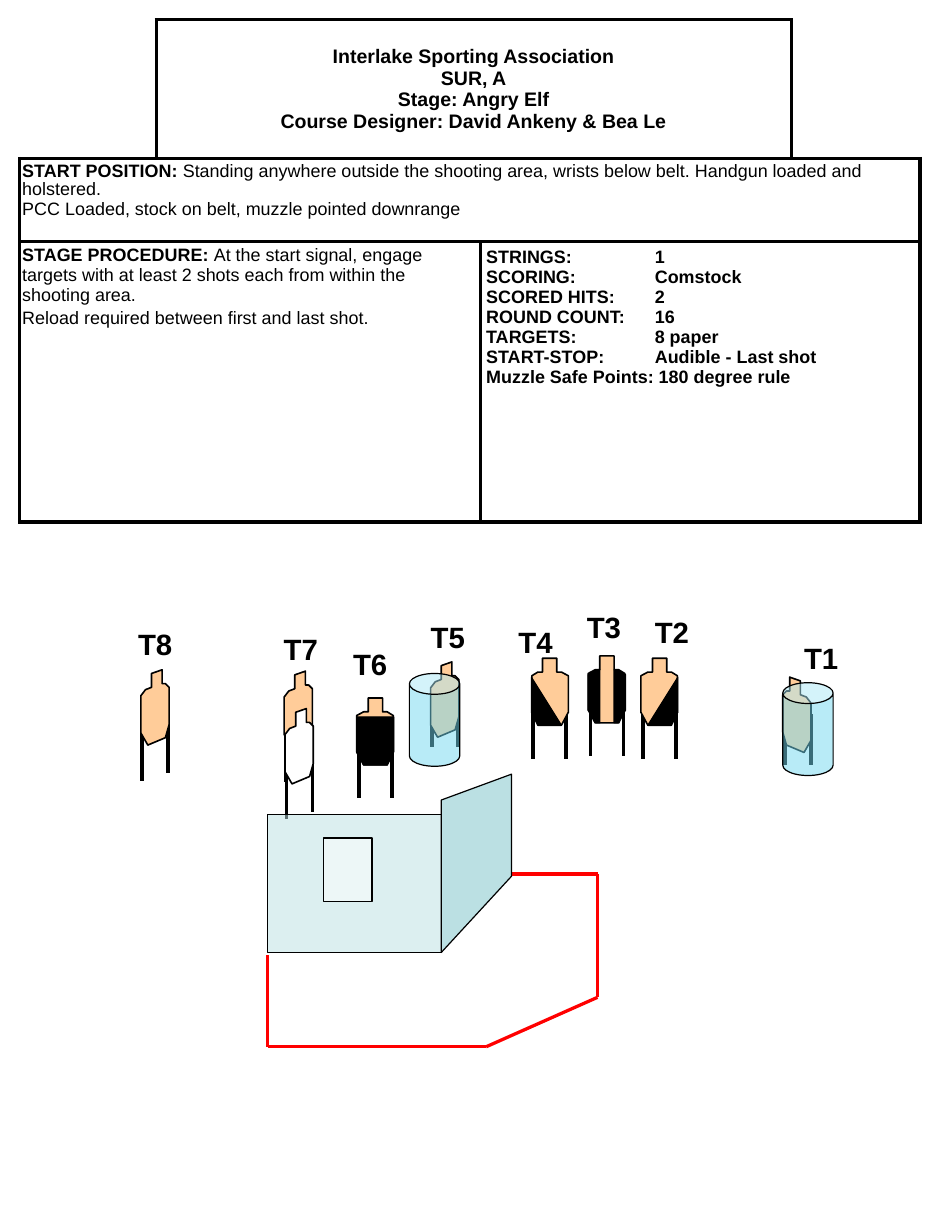
from itertools import pairwise

from lxml import etree
from pptx import Presentation
from pptx.dml.color import RGBColor
from pptx.enum.shapes import MSO_CONNECTOR, MSO_SHAPE
from pptx.enum.text import MSO_ANCHOR, PP_ALIGN
from pptx.oxml import parse_xml
from pptx.oxml.ns import nsdecls, qn
from pptx.util import Cm, Pt

BLACK = RGBColor(0x00, 0x00, 0x00)
WHITE = RGBColor(0xFF, 0xFF, 0xFF)
RED = RGBColor(0xFF, 0x00, 0x00)
CARDBOARD = RGBColor(0xFF, 0xCC, 0x99)
BARREL = RGBColor(0x73, 0xD9, 0xF1)
WALL = RGBColor(0xBB, 0xE0, 0xE3)
FONT = "Arial"

# Outlines in cm from the top left corner of a target
ANGLED = [(0.23, 0.08), (0.46, 0), (0.46, 0.3), (0.53, 0.3), (0.61, 0.38), (0.61, 1.19),
          (0.53, 1.47), (0.15, 1.63), (0, 1.37), (0, 0.56), (0.1, 0.43), (0.23, 0.38)]
UPRIGHT = [(0.25, 0), (0.56, 0), (0.56, 0.3), (0.66, 0.3), (0.79, 0.38), (0.79, 1.17),
           (0.66, 1.45), (0.15, 1.45), (0, 1.17), (0, 0.38), (0.15, 0.3), (0.25, 0.3)]
RIGHT_STRIP = [(0.56, 0.3), (0.56, 1.45), (0.64, 1.45), (0.81, 1.17), (0.81, 0.41), (0.64, 0.3)]
DIAGONAL = [(0.8, 0.41), (0.8, 1.17), (0.64, 1.45), (0.15, 1.45)]
LOWER_BODY = [(0, 0.41), (0.8, 0.41), (0.8, 1.17), (0.66, 1.45), (0.15, 1.45), (0, 1.17)]
SLANTED_LEGS = [(0.03, 1.3), (0.59, 1.14)]
UPRIGHT_LEGS = [(0.05, 1.07), (0.76, 1.07)]
LEG_LENGTH = 1.1

LABELS = {"T1": (17.15, 13.74), "T2": (13.92, 13.18), "T3": (12.45, 13.06),
          "T4": (10.97, 13.39), "T5": (9.07, 13.28), "T6": (7.39, 13.87),
          "T7": (5.89, 13.54), "T8": (2.74, 13.44)}
SHOOTING_AREA = [(5.79, 20.68), (5.79, 22.66), (10.52, 22.66), (12.93, 21.59),
                 (12.93, 18.92), (11.07, 18.92)]
SIDE_WALL = [(11.07, 18.97), (9.55, 20.62), (9.55, 17.32), (11.07, 16.76)]

HEADER = ("Interlake Sporting Association\vSUR, A\vStage: Angry Elf\v"
          "Course Designer: David Ankeny & Bea Le")
START = [("START POSITION: ", "Standing anywhere outside the shooting area, wrists below belt. "
          "Handgun loaded and holstered."),
         ("", "PCC Loaded, stock on belt, muzzle pointed downrange")]
PROCEDURE = [("STAGE PROCEDURE: ", "At the start signal, engage targets with at least 2 shots "
              "each from within the shooting area."),
             ("", "Reload required between first and last shot.")]
DETAILS = ["STRINGS:\t1", "SCORING:\tComstock", "SCORED HITS:\t2", "ROUND COUNT:\t16",
           "TARGETS:\t8 paper", "START-STOP:\tAudible - Last shot",
           "Muzzle Safe Points: 180 degree rule"]


def paint(sp, fill, width, alpha=None):
    sp.shadow.inherit = False
    sp.fill.solid()
    sp.fill.fore_color.rgb = fill
    if alpha:
        color = sp.fill._xPr.find(qn("a:solidFill"))[0]
        etree.SubElement(color, qn("a:alpha"), val=str(alpha * 1000))
    sp.line.color.rgb = BLACK
    sp.line.width = Pt(width)


def add_line(shapes, start, end, color, width):
    ends = [Cm(v) for v in (*start, *end)]
    cx = shapes.add_connector(MSO_CONNECTOR.STRAIGHT, *ends)
    cx.line.color.rgb = color
    cx.line.width = Pt(width)
    etree.SubElement(cx._element.spPr, qn("a:effectLst"))


def add_outline(shapes, points, fill, width):
    pts = [(Cm(x), Cm(y)) for x, y in points]
    fb = shapes.build_freeform(*pts[0])
    fb.add_line_segments(pts[1:], close=True)
    paint(fb.convert_to_shape(), fill, width)


def add_preset(shapes, kind, box, fill):
    sp = shapes.add_shape(kind, *[Cm(v) for v in box])
    paint(sp, fill, 0.75, alpha=50)
    return sp


def add_target(slide, x, y, outline, legs, fill=CARDBOARD, hard_cover=(), mirror=False):
    """Group a target with its legs and black hard cover; mirror flips it left to right."""
    shapes = slide.shapes.add_group_shape().shapes
    width = max(px for px, _ in outline)

    def place(points):
        return [(x + (width - px if mirror else px), y + py) for px, py in points]

    for lx, ly in place(legs):
        add_line(shapes, (lx, ly), (lx, ly + LEG_LENGTH), BLACK, 2.25)
    add_outline(shapes, place(outline), fill, 1)
    for cover in hard_cover:
        add_outline(shapes, place(cover), BLACK, 0)


def add_barrel(slide, x, y):
    sp = add_preset(slide.shapes, MSO_SHAPE.CAN, (x, y, 1.09, 2.01), BARREL)
    sp.adjustments[0] = 0.413


def format_font(font, size, bold):
    font.name, font.size, font.bold = FONT, Pt(size), bold
    font.color.rgb = BLACK


def add_label(slide, text, x, y):
    tf = slide.shapes.add_textbox(Cm(x), Cm(y), Cm(1.47), Cm(1.02)).text_frame
    tf.word_wrap = True
    tf.text = text
    format_font(tf.paragraphs[0].runs[0].font, 18, True)


def set_borders(cell, sides):
    tcPr = cell._tc.get_or_add_tcPr()
    for side in "LRTB":
        fill = f'<a:solidFill><a:srgbClr val="{BLACK}"/></a:solidFill>'
        if side not in sides:
            fill = "<a:noFill/>"
        tcPr.append(parse_xml(f'<a:ln{side} {nsdecls("a")} w="{Pt(2.25)}">{fill}</a:ln{side}>'))
    cell.fill.solid()
    cell.fill.fore_color.rgb = WHITE


def set_margins(cell, side, top):
    cell.margin_left = cell.margin_right = Cm(side)
    cell.margin_top = cell.margin_bottom = Cm(top)


def fill_notes(cell, notes, gap, spacing=None):
    """Write (bold heading, plain text) pairs, one paragraph each."""
    tf = cell.text_frame
    for i, note in enumerate(notes):
        p = tf.add_paragraph() if i else tf.paragraphs[0]
        p.line_spacing = spacing
        p.space_before = Pt(gap if i else 0)
        for text, bold in zip(note, (True, False)):
            if text:
                r = p.add_run()
                r.text = text
                format_font(r.font, 11, bold)


def fill_details(cell):
    cell.text_frame.text = "\n".join(DETAILS)
    for p in cell.text_frame.paragraphs:
        tabs = etree.SubElement(p._p.get_or_add_pPr(), qn("a:tabLst"))
        etree.SubElement(tabs, qn("a:tab"), pos=str(Cm(3.65)), algn="l")
        for r in p.runs:
            format_font(r.font, 11, True)


def add_briefing(slide):
    table = slide.shapes.add_table(3, 4, Cm(0.43), Cm(0.43), Cm(19.48), Cm(10.87)).table
    table.first_row = table.horz_banding = False
    for col, width in zip(table.columns, (2.95, 7.01, 6.73, 2.79)):
        col.width = Cm(width)
    for row, height in zip(table.rows, (3, 1.8, 6.07)):
        row.height = Cm(height)
    for i in range(3):
        for j in range(4):
            set_borders(table.cell(i, j), {(0, 0): "RB", (0, 3): "LB"}.get((i, j), "LRTB"))
    for first, last in (((0, 1), (0, 2)), ((1, 0), (1, 3)), ((2, 0), (2, 1)), ((2, 2), (2, 3))):
        table.cell(*first).merge(table.cell(*last))

    header, start, procedure, details = [table.cell(*at) for at in ((0, 1), (1, 0), (2, 0), (2, 2))]
    set_margins(header, 0.13, 0.13)
    set_margins(start, 0.05, 0.1)
    set_margins(procedure, 0.05, 0.08)
    set_margins(details, 0.13, 0.13)
    header.vertical_anchor = MSO_ANCHOR.MIDDLE
    p = header.text_frame.paragraphs[0]
    p.text = HEADER
    p.alignment = PP_ALIGN.CENTER
    for r in p.runs:
        format_font(r.font, 12, True)
    fill_notes(start, START, 1.1, 0.9)
    fill_notes(procedure, PROCEDURE, 2.2)
    fill_details(details)


def main():
    prs = Presentation()
    prs.slide_width, prs.slide_height = Cm(20.32), Cm(26.67)
    s = prs.slides.add_slide(prs.slide_layouts[6])
    add_briefing(s)
    for start, end in pairwise(SHOOTING_AREA):
        add_line(s.shapes, start, end, RED, 2)

    add_target(s, 16.94, 14.66, ANGLED, [(0, 0.8), (0.56, 0.8)], mirror=True)  # T1
    add_target(s, 3.05, 14.5, ANGLED, SLANTED_LEGS)  # T8
    add_target(s, 9.32, 14.33, ANGLED, [(0.03, 0.74), (0.59, 0.74)])  # T5
    left_strip = [(0.81 - x, y) for x, y in RIGHT_STRIP]
    add_target(s, 12.73, 14.2, UPRIGHT, UPRIGHT_LEGS, hard_cover=[RIGHT_STRIP, left_strip])  # T3
    add_target(s, 7.72, 15.11, UPRIGHT, UPRIGHT_LEGS, hard_cover=[LOWER_BODY])  # T6
    add_target(s, 6.15, 14.53, ANGLED, SLANTED_LEGS)  # T7
    add_target(s, 6.17, 15.34, ANGLED, SLANTED_LEGS, fill=WHITE)  # no-shoot before T7
    add_barrel(s, 16.94, 14.78)
    add_barrel(s, 8.86, 14.58)
    add_target(s, 13.87, 14.25, UPRIGHT, UPRIGHT_LEGS, hard_cover=[DIAGONAL])  # T2
    add_target(s, 11.51, 14.25, UPRIGHT, UPRIGHT_LEGS, hard_cover=[DIAGONAL], mirror=True)  # T4

    wall = s.shapes.add_group_shape().shapes
    add_preset(wall, MSO_SHAPE.RECTANGLE, (5.79, 17.63, 3.76, 3), WALL)
    add_preset(wall, MSO_SHAPE.RECTANGLE, (7.01, 18.14, 1.04, 1.37), WHITE)
    add_outline(s.shapes, SIDE_WALL, WALL, 0.75)
    for text, (x, y) in LABELS.items():
        add_label(s, text, x, y)
    prs.save("out.pptx")


if __name__ == "__main__":
    main()
